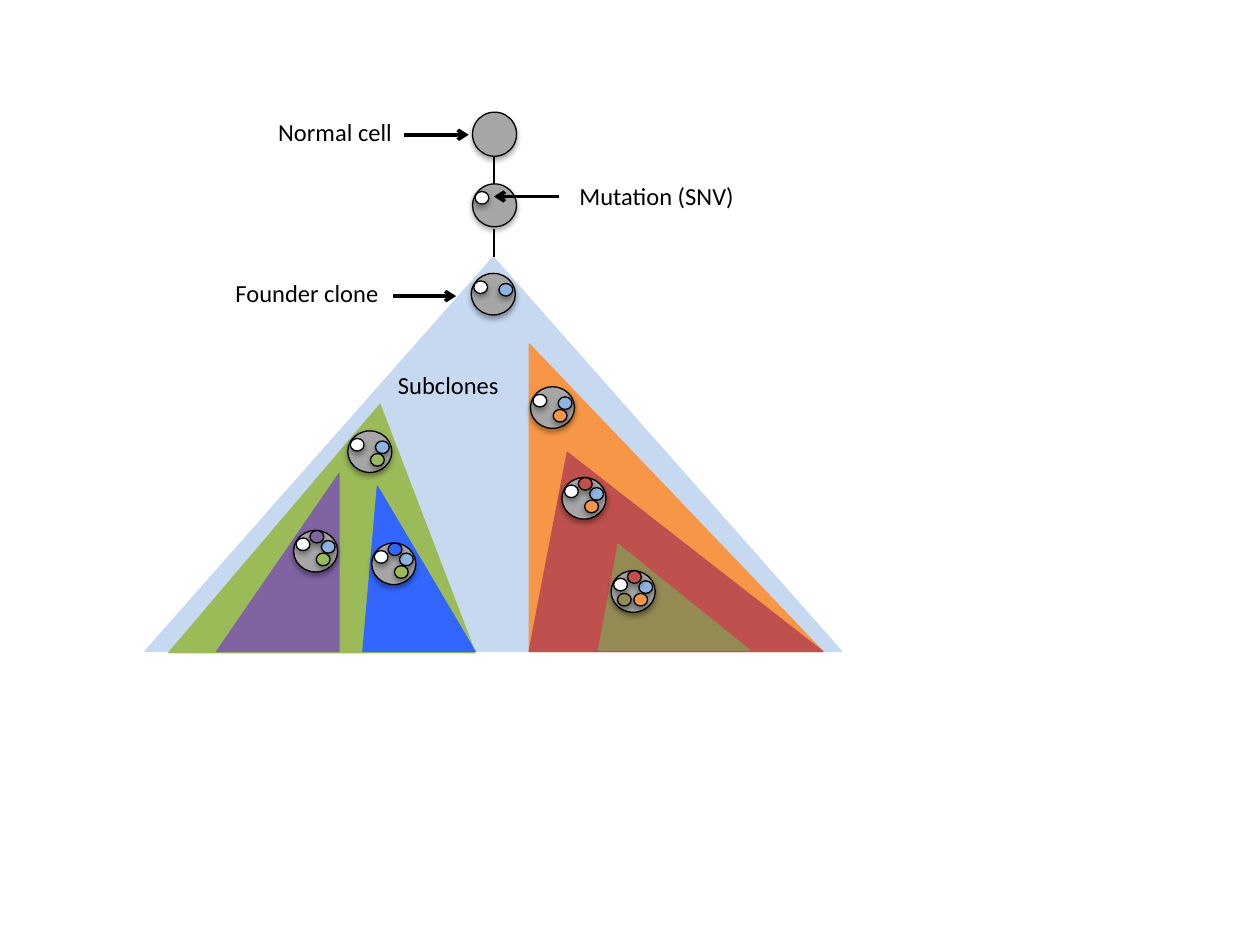
from dataclasses import dataclass

from lxml.etree import SubElement
from pptx import Presentation
from pptx.dml.color import RGBColor
from pptx.enum.shapes import MSO_CONNECTOR as Connector, MSO_SHAPE as Shape
from pptx.enum.text import MSO_AUTO_SIZE as AutoSize
from pptx.oxml.ns import qn
from pptx.util import Inches, Pt

BLACK, WHITE, GREY = "000000", "FFFFFF", "A6A6A6"
FOUNDER, SKY = "C6D9F1", "8EB4E3"
GREEN, PURPLE, BLUE = "9BBB59", "8064A2", "3366FF"
ORANGE, RED, OLIVE = "F79646", "C0504D", "948A54"

UPPER_LEFT, RIGHT, LOWER_RIGHT = (0.02, 0.06), (0.22, 0.08), (0.18, 0.18)
TOP, LOWER_LEFT = (0.13, 0), (0.05, 0.18)
CELL_WIDTH = 0.35
MUTATION_WIDTH, MUTATION_HEIGHT = 0.11, 0.1


@dataclass
class Clone:
    left: float
    top: float
    width: float
    height: float
    apex: float
    color: str


@dataclass
class Cell:
    left: float
    top: float
    height: float
    mutations: dict


@dataclass
class Link:
    start: tuple
    end: tuple
    weight: float = 0.75
    arrow: bool = False


@dataclass
class Label:
    text: str
    left: float
    top: float
    width: float


def rgb(color: str) -> RGBColor:
    return RGBColor.from_string(color)


def add_filled(slide, kind: Shape, box: tuple, fill: str, line: str):
    shape = slide.shapes.add_shape(kind, *map(Inches, box))
    shape.shadow.inherit = False
    shape.fill.solid()
    shape.fill.fore_color.rgb = rgb(fill)
    shape.line.color.rgb = rgb(line)
    shape.line.width = Pt(0.75)
    return shape


def draw_clone(slide, clone: Clone) -> None:
    box = (clone.left, clone.top, clone.width, clone.height)
    triangle = add_filled(slide, Shape.ISOSCELES_TRIANGLE, box, clone.color, clone.color)
    triangle.adjustments[0] = clone.apex


def draw_disc(slide, box: tuple, fill: str) -> None:
    disc = add_filled(slide, Shape.OVAL, box, fill, BLACK)
    effects = disc._element.spPr.find(qn("a:effectLst"))
    shadow = SubElement(effects, qn("a:outerShdw"), blurRad=str(Pt(3.1)),
                        dist=str(Pt(1.8)), dir="5400000", rotWithShape="0")
    shade = SubElement(shadow, qn("a:srgbClr"), val=BLACK)
    SubElement(shade, qn("a:alpha"), val="35000")


def draw_cell(slide, cell: Cell) -> None:
    draw_disc(slide, (cell.left, cell.top, CELL_WIDTH, cell.height), GREY)
    for (dx, dy), color in cell.mutations.items():
        box = (cell.left + dx, cell.top + dy, MUTATION_WIDTH, MUTATION_HEIGHT)
        draw_disc(slide, box, color)


def draw_link(slide, link: Link) -> None:
    ends = map(Inches, link.start + link.end)
    connector = slide.shapes.add_connector(Connector.STRAIGHT, *ends)
    connector.line.color.rgb = rgb(BLACK)
    connector.line.width = Pt(link.weight)
    if link.arrow:
        SubElement(connector.line._get_or_add_ln(), qn("a:tailEnd"), type="arrow")
    SubElement(connector._element.spPr, qn("a:effectLst"))


def draw_label(slide, label: Label) -> None:
    box = slide.shapes.add_textbox(Inches(label.left), Inches(label.top),
                                   Inches(label.width), Inches(0.34))
    frame = box.text_frame
    frame.word_wrap = True
    frame.auto_size = AutoSize.SHAPE_TO_FIT_TEXT
    frame.text = label.text
    font = frame.paragraphs[0].runs[0].font
    font.name = "Calibri"
    font.size = Pt(14)
    font.color.rgb = rgb(BLACK)


FOUNDER_MUTATIONS = {RIGHT: SKY, UPPER_LEFT: WHITE}
GREEN_MUTATIONS = {**FOUNDER_MUTATIONS, LOWER_RIGHT: GREEN}
ORANGE_MUTATIONS = {**FOUNDER_MUTATIONS, LOWER_RIGHT: ORANGE}
RED_MUTATIONS = {**ORANGE_MUTATIONS, TOP: RED}

CLONES = [
    Clone(1.15, 2.04, 5.53, 3.13, 0.5, FOUNDER),
    Clone(1.34, 3.21, 2.43, 1.97, 0.69, GREEN),
    Clone(4.2, 2.73, 2.33, 2.44, 0, ORANGE),
    Clone(4.2, 3.59, 2.33, 1.58, 0.13, RED),
    Clone(1.72, 3.76, 0.97, 1.41, 1, PURPLE),
    Clone(2.88, 3.86, 0.89, 1.31, 0.13, BLUE),
    Clone(4.75, 4.32, 1.2, 0.84, 0.13, OLIVE),
]

LINEAGE = [
    Link((3.92, 1.24), (3.92, 1.47)),
    Link((3.92, 1.82), (3.92, 2.04)),
]

CELLS = [
    Cell(4.85, 4.53, 0.33, {**RED_MUTATIONS, LOWER_LEFT: OLIVE}),
    Cell(4.46, 3.79, 0.33, RED_MUTATIONS),
    Cell(4.21, 3.07, 0.33, ORANGE_MUTATIONS),
    Cell(3.74, 2.17, 0.33, FOUNDER_MUTATIONS),
    Cell(2.76, 3.42, 0.33, GREEN_MUTATIONS),
    Cell(2.95, 4.31, 0.33, {**GREEN_MUTATIONS, TOP: BLUE}),
    Cell(2.33, 4.21, 0.33, {**GREEN_MUTATIONS, TOP: PURPLE}),
    Cell(3.75, 0.89, 0.35, {}),
    Cell(3.75, 1.46, 0.34, {UPPER_LEFT: WHITE}),
]

POINTERS = [
    Link((3.21, 1.07), (3.72, 1.07), 2, True),
    Link((3.12, 2.35), (3.62, 2.35), 2, True),
    Link((4.44, 1.56), (3.92, 1.56), 2, True),
]

LABELS = [
    Label("Normal cell", 2.11, 0.88, 1.46),
    Label("Founder clone", 1.77, 2.16, 2.39),
    Label("Subclones", 3.06, 2.89, 2.39),
    Label("Mutation (SNV)", 4.5, 1.39, 2.39),
]


def main() -> None:
    deck = Presentation()
    deck.slide_width, deck.slide_height = Inches(10), Inches(7.5)
    slide = deck.slides.add_slide(deck.slide_layouts[6])
    for clone in CLONES:
        draw_clone(slide, clone)
    for link in LINEAGE:
        draw_link(slide, link)
    for cell in CELLS:
        draw_cell(slide, cell)
    for pointer in POINTERS:
        draw_link(slide, pointer)
    for label in LABELS:
        draw_label(slide, label)
    deck.save("out.pptx")


if __name__ == "__main__":
    main()
